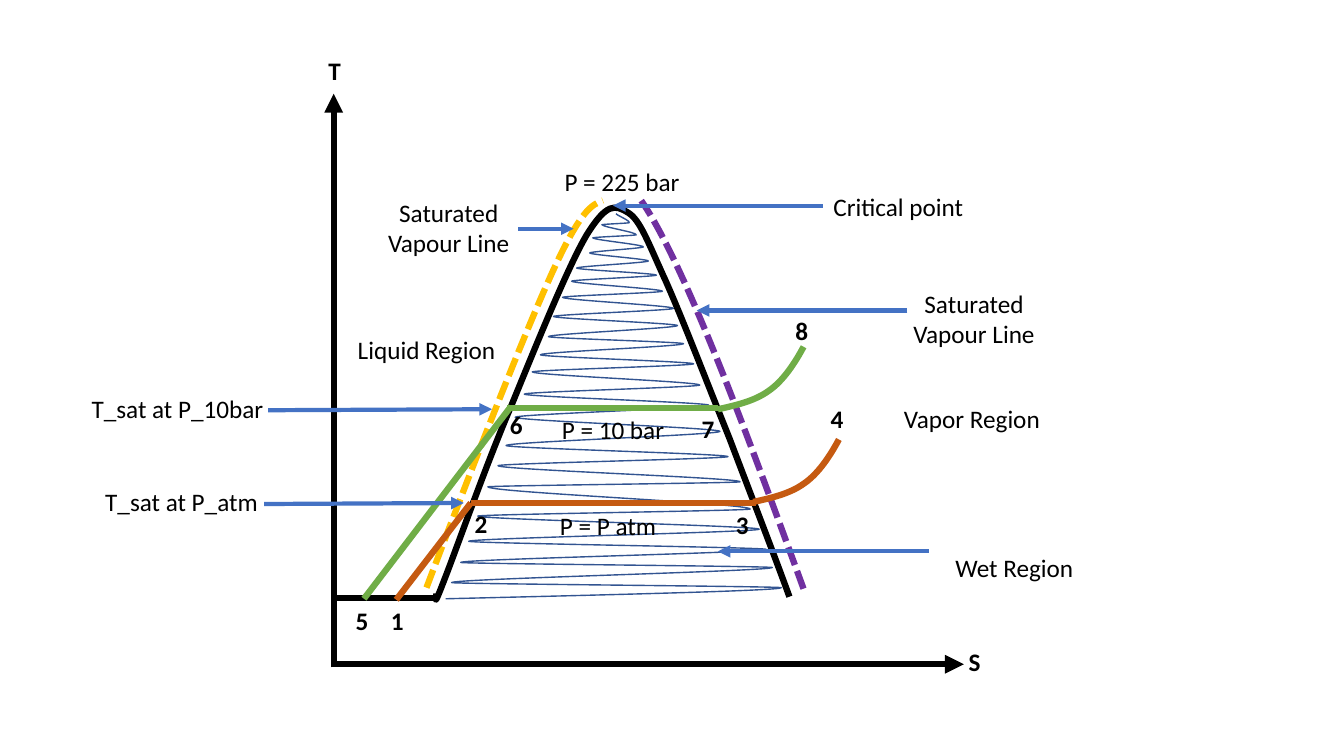
"""Build a temperature-entropy diagram slide of water and steam."""
from dataclasses import dataclass

from lxml import etree
from pptx import Presentation
from pptx import util as u
from pptx.dml import color
from pptx.enum import dml, shapes, text
from pptx.oxml import ns


@dataclass(frozen=True)
class Theme:
    font: str = "Calibri"
    size: float = 18
    black: str = "000000"
    pointer: str = "4472C4"
    hatch: str = "325491"
    liquid: str = "FFC000"
    vapour: str = "7030A0"
    atmospheric: str = "C55A11"
    ten_bar: str = "70AD47"
    thick: float = 4.5
    medium: float = 3
    thin: float = 1


THEME = Theme()

VAPOUR_LINE = [(7.97, 5.84), (7.38, 4.22), (6.78, 2.6), (6.36, 1.99)]
LIQUID_LINE = [(4.23, 5.83), (4.7, 4.59), (5.18, 3.36), (5.47, 2.72),
               (5.76, 2.08), (5.87, 2.03), (5.98, 1.99)]
DOME = [(4.33, 5.89), (4.32, 5.96), (4.3, 6.03), (4.42, 5.72),
        (4.54, 5.41), (4.83, 4.59), (5.07, 4.03),
        (5.3, 3.47), (5.63, 2.65), (5.82, 2.33),
        (6.02, 2.01), (6.1, 2.03), (6.23, 2.11),
        (6.35, 2.18), (6.43, 2.41), (6.6, 2.78),
        (6.77, 3.16), (7.03, 3.84), (7.24, 4.36),
        (7.44, 4.89), (7.64, 5.4), (7.83, 5.92)]
SUPERHEAT = [(0, 0), (0.18, -0.04), (0.36, -0.08), (0.5, -0.18),
             (0.65, -0.28), (0.77, -0.47), (0.85, -0.62)]
HATCH_TURNS = [
    (6.11, 2.12), (6.24, 2.21), (5.97, 2.23), (6.31, 2.33), (5.88, 2.36),
    (6.38, 2.45), (5.85, 2.51), (6.43, 2.59), (5.72, 2.66), (6.51, 2.73),
    (5.67, 2.79), (6.57, 2.89), (5.58, 2.95), (6.68, 3.06), (5.49, 3.14),
    (6.72, 3.23), (5.44, 3.34), (6.78, 3.41), (5.36, 3.52), (6.88, 3.61),
    (5.28, 3.69), (6.94, 3.82), (5.2, 3.91), (7.03, 4.02), (5.11, 4.14),
    (7.14, 4.28), (5.02, 4.42), (7.22, 4.53), (4.94, 4.62), (7.34, 4.78),
    (4.84, 4.83), (7.44, 5.05), (4.74, 5.12), (7.53, 5.25), (4.65, 5.37),
    (7.6, 5.45), (4.57, 5.58), (7.66, 5.63), (4.48, 5.78), (7.75, 5.83)]
HATCH_END = [(7.74, 5.86), (6.08, 5.9), (4.42, 5.94)]

AXES = [((3.31, 6.62), (3.31, 0.93)), ((3.29, 6.59), (9.56, 6.59))]
BASE = ((4.33, 5.93), (3.29, 5.93))
ISOBARS = [
    (THEME.atmospheric, [((3.93, 5.95), (4.67, 4.99)), ((4.67, 4.99), (7.5, 4.99))], (7.47, 4.98)),
    (THEME.ten_bar, [((3.61, 5.94), (5.07, 4.03)), ((5.03, 4.05), (7.12, 4.05))], (7.12, 4.06)),
]
POINTERS = [((9.21, 5.47), (7.12, 5.47)), ((8.16, 2.04), (6.08, 2.04)),
            ((9, 3.08), (6.91, 3.08)), ((5.14, 2.27), (5.69, 2.27)),
            ((2.62, 5), (4.6, 4.99)), ((2.66, 4.07), (4.88, 4.06))]

MARKS = [("T", 3.16, 0.5), ("S", 9.51, 6.36), ("1", 3.78, 5.96), ("2", 4.61, 4.99),
         ("3", 7.2, 5), ("4", 8.14, 3.95), ("5", 3.43, 5.96), ("6", 4.96, 4.01),
         ("7", 6.86, 4.05), ("8", 7.79, 3.08)]
LABELS = [("P = P atm", 5.39, 5.01, 1.28, 0.4), ("P = 10 bar", 5.44, 4.06, 1.28, 0.4),
          ("P = 225 bar", 5.46, 1.6, 1.42, 0.4), ("Liquid Region", 3.32, 3.27, 1.82, 0.4),
          ("Wet Region", 9.15, 5.43, 1.82, 0.4), ("Vapor Region", 8.73, 3.95, 1.82, 0.4),
          ("Critical point", 8, 1.85, 1.82, 0.4),
          ("Saturated Vapour Line", 8.75, 2.81, 1.82, 0.71),
          ("Saturated Vapour Line", 3.54, 1.91, 1.82, 0.71),
          ("T_sat at P_atm", 0.89, 4.78, 1.82, 0.4),
          ("T_sat at P_10bar", 0.77, 3.85, 1.98, 0.4)]


def format_line(shape, colour, width, dashed=False, arrow=False):
    shape.line.color.rgb = color.RGBColor.from_string(colour)
    shape.line.width = u.Pt(width)
    if dashed:
        shape.line.dash_style = dml.MSO_LINE.SQUARE_DOT
    if arrow:
        line = shape.element.spPr.find(ns.qn("a:ln"))
        etree.SubElement(line, ns.qn("a:tailEnd"), type="triangle")


def add_line(slide, ends, colour, width, **line_format):
    start, end = ends
    connector = slide.shapes.add_connector(
        shapes.MSO_CONNECTOR.STRAIGHT, *map(u.Inches, start + end))
    format_line(connector, colour, width, **line_format)
    etree.SubElement(connector.element.spPr, ns.qn("a:effectLst"))


def add_curve(slide, points, colour, width, **line_format):
    start, *rest = [(u.Inches(x), u.Inches(y)) for x, y in points]
    builder = slide.shapes.build_freeform(*start)
    builder.add_line_segments(rest, close=False)
    shape = builder.convert_to_shape()
    segments = list(shape.element.iter(ns.qn("a:lnTo")))
    for first in range(0, len(segments), 3):
        outline = segments[first].getparent()
        bezier = etree.SubElement(outline, ns.qn("a:cubicBezTo"))
        for segment in segments[first:first + 3]:
            bezier.append(segment[0])
            outline.remove(segment)
    shape.fill.background()
    shape.shadow.inherit = False
    format_line(shape, colour, width, **line_format)


def add_text(slide, words, left, top, width=0.3, height=0.4, bold=False, wrap=True,
             align=text.PP_ALIGN.CENTER):
    box = slide.shapes.add_textbox(*map(u.Inches, (left, top, width, height)))
    frame = box.text_frame
    frame.word_wrap = wrap
    frame.auto_size = text.MSO_AUTO_SIZE.SHAPE_TO_FIT_TEXT
    paragraph = frame.paragraphs[0]
    paragraph.alignment = align
    run = paragraph.add_run()
    run.text = words
    run.font.name = THEME.font
    run.font.size = u.Pt(THEME.size)
    run.font.bold = bold
    run.font.color.rgb = color.RGBColor.from_string(THEME.black)


def hatch_points():
    points = [HATCH_TURNS[0]]
    for (x1, y1), (x2, y2) in zip(HATCH_TURNS, HATCH_TURNS[1:]):
        side = 1 if x2 > x1 else -1
        bend = (y2 - y1) / 4
        points += [(x1 + side * 0.02, y1 + bend), (x2 + side * 0.01, y2 - bend), (x2, y2)]
    return points + HATCH_END


presentation = Presentation()
presentation.slide_width = u.Inches(13.33)
presentation.slide_height = u.Inches(7.5)
slide = presentation.slides.add_slide(presentation.slide_layouts[6])

add_curve(slide, VAPOUR_LINE, THEME.vapour, THEME.thick, dashed=True)
add_curve(slide, LIQUID_LINE, THEME.liquid, THEME.thick, dashed=True)
add_curve(slide, hatch_points(), THEME.hatch, THEME.thin)
for axis in AXES:
    add_line(slide, axis, THEME.black, THEME.thick, arrow=True)
add_curve(slide, DOME, THEME.black, THEME.thick)
add_line(slide, BASE, THEME.black, THEME.thick)

for colour, lines, (x, y) in ISOBARS:
    for ends in lines:
        add_line(slide, ends, colour, THEME.thick)
    add_curve(slide, [(x + dx, y + dy) for dx, dy in SUPERHEAT], colour, THEME.thick)

for ends in POINTERS:
    add_line(slide, ends, THEME.pointer, THEME.medium, arrow=True)
for label in LABELS:
    add_text(slide, *label)
for mark in MARKS:
    add_text(slide, *mark, bold=True, wrap=False, align=text.PP_ALIGN.LEFT)

presentation.save("out.pptx")
